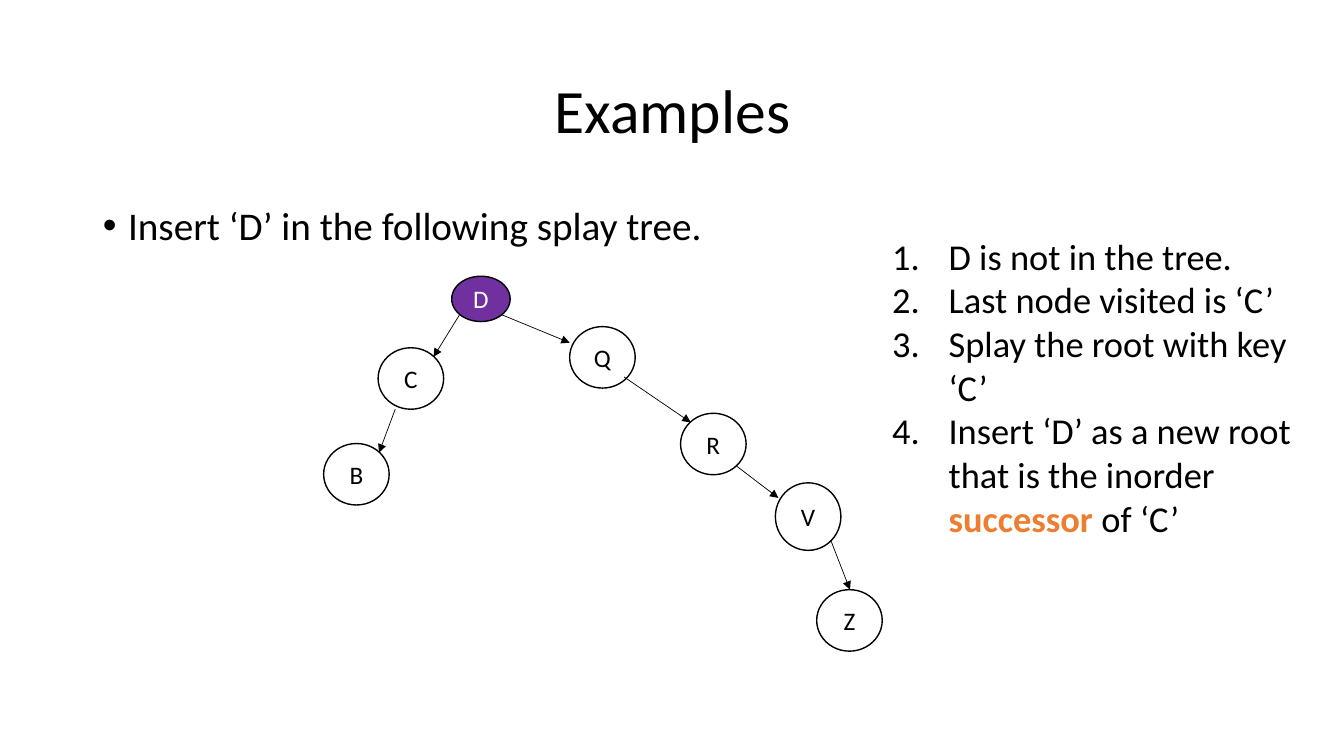
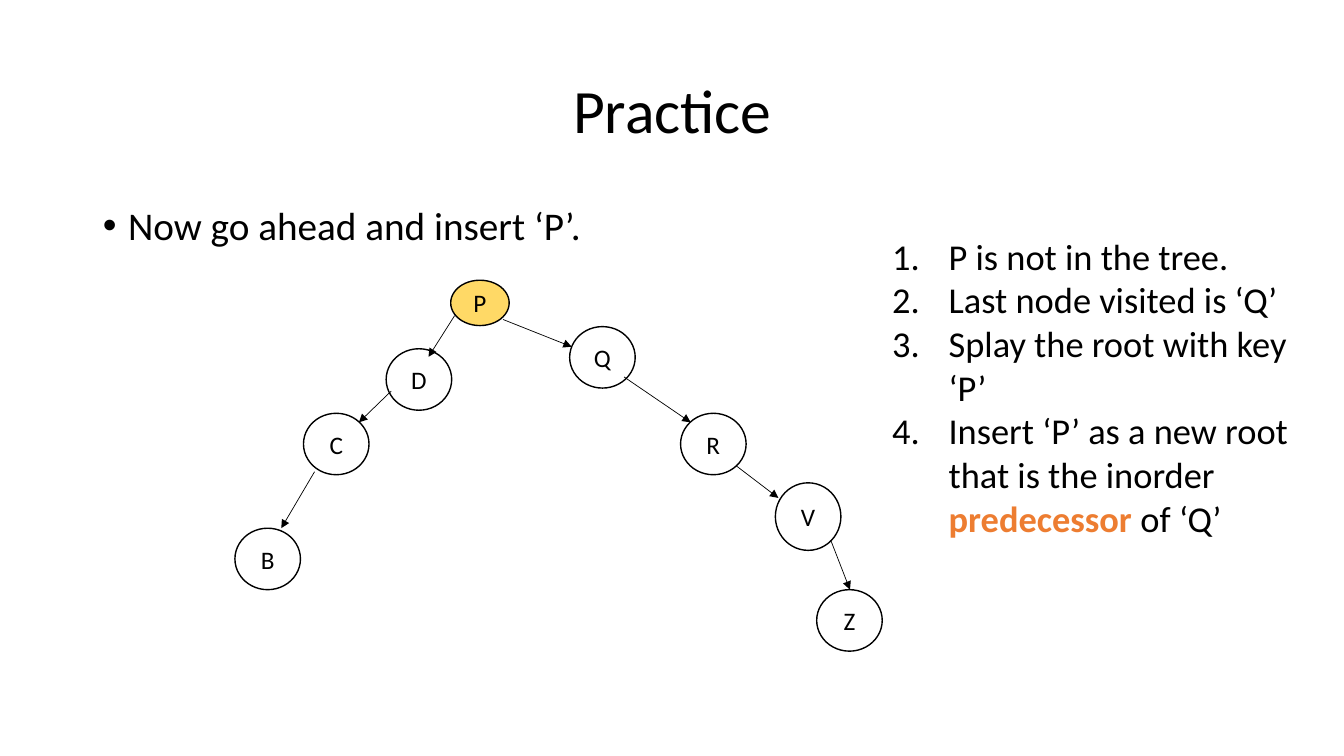
from lxml.etree import SubElement
from pptx import Presentation
from pptx.dml.color import RGBColor
from pptx.enum.shapes import MSO_CONNECTOR, MSO_SHAPE
from pptx.enum.text import MSO_ANCHOR, MSO_AUTO_SIZE, PP_ALIGN
from pptx.oxml.ns import qn
from pptx.util import Inches, Pt

BLACK = RGBColor(0x00, 0x00, 0x00)
WHITE = RGBColor(0xFF, 0xFF, 0xFF)
ORANGE = RGBColor(0xED, 0x7D, 0x31)
PURPLE = RGBColor(0x70, 0x30, 0xA0)
YELLOW = RGBColor(0xFF, 0xD9, 0x66)
FONT = "Calibri"

TITLE_BOX = (0.92, 0.4, 11.5, 1.45)
BODY_BOX = (0.92, 2, 11.5, 4.76)
STEPS_BOX = (8.75, 2.27, 4.49, 3.16)
NODE_SIZE = (0.65, 0.61)
TALL_NODE_SIZE = (0.65, 0.67)
ROOT_SIZE = (0.58, 0.45)

RIGHT_NODES = [
    ("Q", 5.65, 3.24, NODE_SIZE),
    ("R", 6.75, 4.1, NODE_SIZE),
    ("V", 7.69, 4.79, TALL_NODE_SIZE),
    ("Z", 8.1, 5.85, NODE_SIZE),
]
RIGHT_ARROWS = [
    (6.19, 3.74, 6.85, 4.19),
    (7.3, 4.62, 7.72, 4.94),
    (8.24, 5.36, 8.43, 5.85),
]

SLIDES = [
    {
        "title": "Examples",
        "task": "Insert ‘D’ in the following splay tree.",
        "root": ("D", 4.48, 2.74, PURPLE, WHITE),
        "left_nodes": [("C", 3.75, 3.45, NODE_SIZE), ("B", 3.21, 4.4, NODE_SIZE)],
        "arrows": [
            (4.97, 3.12, 5.65, 3.4),
            (4.56, 3.12, 4.3, 3.54),
            (3.92, 4.06, 3.76, 4.49),
        ],
        "steps": [
            ["D is not in the tree."],
            ["Last node visited is ‘C’"],
            ["Splay the root with key ‘C’"],
            ["Insert ‘D’ as a new root that is the inorder ", "successor", " of ‘C’"],
        ],
    },
    {
        "title": "Practice",
        "task": "Now go ahead and insert ‘P’.",
        "root": ("P", 4.47, 2.78, YELLOW, BLACK),
        "left_nodes": [
            ("D", 3.83, 3.46, NODE_SIZE),
            ("C", 3.01, 4.1, NODE_SIZE),
            ("B", 2.33, 5.24, NODE_SIZE),
        ],
        "arrows": [
            (4.99, 3.17, 5.67, 3.44),
            (4.51, 3.13, 4.25, 3.54),
            (3.88, 3.88, 3.56, 4.19),
            (3.12, 4.68, 2.79, 5.24),
        ],
        "steps": [
            ["P is not in the tree."],
            ["Last node visited is ‘Q’"],
            ["Splay the root with key ‘P’"],
            ["Insert ‘P’ as a new root that is the inorder ", "predecessor", " of ‘Q’"],
        ],
    },
]


def inches(values):
    return [Inches(value) for value in values]


def write(frame, paragraphs, size, color=BLACK, align=PP_ALIGN.LEFT, anchor=MSO_ANCHOR.TOP,
          line_spacing=1.0, space_before=0, indent=0, bullet=None):
    frame.word_wrap = True
    frame.auto_size = MSO_AUTO_SIZE.NONE
    frame.vertical_anchor = anchor
    for index, pieces in enumerate(paragraphs):
        paragraph = frame.add_paragraph() if index else frame.paragraphs[0]
        paragraph.alignment = align
        paragraph.line_spacing = line_spacing
        paragraph.space_before = Pt(space_before)
        if bullet:
            properties = paragraph._p.get_or_add_pPr()
            properties.set("marL", str(Inches(indent)))
            properties.set("indent", str(-Inches(indent)))
            if bullet == "number":
                SubElement(properties, qn("a:buAutoNum"), type="arabicPeriod")
            else:
                SubElement(properties, qn("a:buFont"), typeface="Arial")
                SubElement(properties, qn("a:buChar"), char=bullet)
        for position, piece in enumerate(pieces):
            emphasized = position == 1
            run = paragraph.add_run()
            run.text = piece
            run.font.name = FONT
            run.font.size = Pt(size)
            run.font.bold = emphasized
            run.font.color.rgb = ORANGE if emphasized else color


def add_node(slide, label, left, top, size, fill=None, color=BLACK):
    node = slide.shapes.add_shape(MSO_SHAPE.OVAL, *inches((left, top, *size)))
    node.shadow.inherit = False
    if fill is None:
        node.fill.background()
    else:
        node.fill.solid()
        node.fill.fore_color.rgb = fill
    node.line.color.rgb = BLACK
    node.line.width = Pt(1)
    write(node.text_frame, [[label]], 18, color=color, align=PP_ALIGN.CENTER,
          anchor=MSO_ANCHOR.MIDDLE)


def add_arrow(slide, ends):
    arrow = slide.shapes.add_connector(MSO_CONNECTOR.STRAIGHT, *inches(ends))
    arrow.line.color.rgb = BLACK
    arrow.line.width = Pt(0.5)
    SubElement(arrow.line._get_or_add_ln(), qn("a:tailEnd"), type="triangle")
    SubElement(arrow._element.spPr, qn("a:effectLst"))


def place(shape, box):
    shape.left, shape.top, shape.width, shape.height = inches(box)


def add_tree_slide(deck, layout, content):
    slide = deck.slides.add_slide(layout)
    title, task = slide.placeholders
    write(title.text_frame, [[content["title"]]], 44, align=PP_ALIGN.CENTER,
          anchor=MSO_ANCHOR.MIDDLE, line_spacing=0.9)
    write(task.text_frame, [[content["task"]]], 28, line_spacing=0.9, space_before=10,
          indent=0.25, bullet="•")
    for node in content["left_nodes"] + RIGHT_NODES:
        add_node(slide, *node)
    label, left, top, fill, color = content["root"]
    add_node(slide, label, left, top, ROOT_SIZE, fill=fill, color=color)
    for ends in content["arrows"] + RIGHT_ARROWS:
        add_arrow(slide, ends)
    steps = slide.shapes.add_textbox(*inches(STEPS_BOX))
    write(steps.text_frame, content["steps"], 26, indent=0.56, bullet="number")


def main():
    deck = Presentation()
    deck.slide_width, deck.slide_height = Inches(13.33), Inches(7.5)
    layout = deck.slide_layouts[1]
    for placeholder, box in zip(layout.placeholders, (TITLE_BOX, BODY_BOX)):
        place(placeholder, box)
    for content in SLIDES:
        add_tree_slide(deck, layout, content)
    deck.save("out.pptx")


if __name__ == "__main__":
    main()
